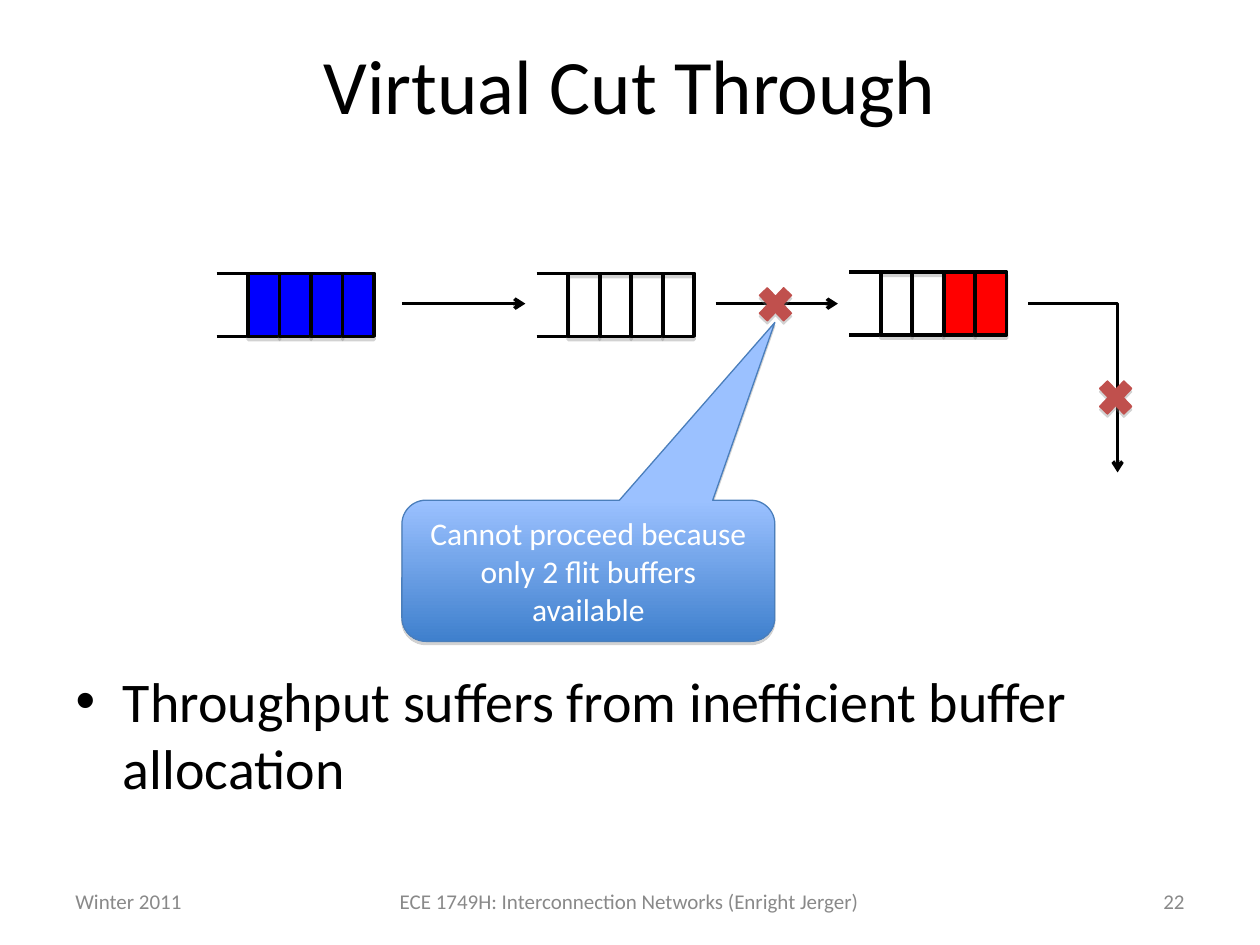
from dataclasses import dataclass
from typing import Optional

from lxml.etree import SubElement
from pptx import Presentation
from pptx.dml.color import RGBColor
from pptx.enum.shapes import MSO_CONNECTOR, MSO_SHAPE
from pptx.enum.text import MSO_ANCHOR, MSO_AUTO_SIZE, PP_ALIGN
from pptx.oxml.ns import qn
from pptx.util import Inches, Pt

COLORS = {
    "black": "000000", "white": "FFFFFF", "gray": "898989", "shadow": "808080",
    "blue": "0000FF", "red": "FF0000", "cross": "C0504D",
    "callout_top": "9BC1FF", "callout_bottom": "3F80CD", "callout_line": "4A7EBB",
}
FONT = "Calibri"
CELL_WIDTH, CELL_HEIGHT = 0.25, 0.5
ARROW_Y = 2.41


@dataclass
class Queue:
    left: float
    top: float
    cells: list[Optional[str]]


@dataclass
class Footer:
    text: str
    left: float
    width: float
    align: PP_ALIGN


QUEUES = [
    Queue(1.72, 2.17, ["blue"] * 4),
    Queue(4.26, 2.17, [None] * 4),
    Queue(6.74, 2.16, [None, None, "red", "red"]),
]
ARROWS = [(3.19, 4.17), (5.68, 6.65)]
CROSSES = [(8.67, 2.96), (5.97, 2.22)]
FOOTERS = [
    Footer("Winter 2011", 0.5, 2.33, PP_ALIGN.LEFT),
    Footer("22", 7.17, 2.33, PP_ALIGN.RIGHT),
    Footer("ECE 1749H: Interconnection Networks (Enright Jerger)", 2.83, 4.33, PP_ALIGN.CENTER),
]


def color(name: str) -> RGBColor:
    return RGBColor.from_string(COLORS[name])


def place(shape, left: float, top: float, width: float, height: float) -> None:
    lengths = {"left": left, "top": top, "width": width, "height": height}
    for name, value in lengths.items():
        setattr(shape, name, Inches(value))


def write(shape, text: str, size: int, color_name: str, align: PP_ALIGN, anchor) -> None:
    frame = shape.text_frame
    frame_format = {"word_wrap": True, "auto_size": MSO_AUTO_SIZE.NONE,
                    "vertical_anchor": anchor}
    for name, value in frame_format.items():
        setattr(frame, name, value)
    para = frame.paragraphs[0]
    para.alignment = align
    para.space_before = Pt(0)
    span = para.add_run()
    span.text = text
    for name, value in {"size": Pt(size), "name": FONT}.items():
        setattr(span.font, name, value)
    span.font.color.rgb = color(color_name)


def set_line(shape, color_name: str, width: float) -> None:
    shape.line.color.rgb = color(color_name)
    shape.line.width = Pt(width)


def add_arrowhead(shape) -> None:
    SubElement(shape.line._get_or_add_ln(), qn("a:tailEnd"), type="arrow")


def add_shadow(shape) -> None:
    """Drop a short, sharp shadow straight down."""
    shape.shadow.inherit = False
    effects = shape._element.spPr.find(qn("a:effectLst"))
    outer = SubElement(effects, qn("a:outerShdw"), blurRad="0", dist=str(Pt(1.8)),
                       dir="5400000", algn="ctr", rotWithShape="0")
    shade = SubElement(outer, qn("a:srgbClr"), val=COLORS["shadow"])
    SubElement(shade, qn("a:alpha"), val="35000")


def add_line(page, start: tuple[float, float], end: tuple[float, float]):
    line = page.shapes.add_connector(
        MSO_CONNECTOR.STRAIGHT, *(Inches(value) for value in (*start, *end)))
    set_line(line, "black", 2)
    SubElement(line._element.spPr, qn("a:effectLst"))
    return line


def draw_queue(page, queue: Queue) -> None:
    """Draw a row of flit buffers with an open first slot."""
    first_cell = queue.left + CELL_WIDTH
    for y in (queue.top, queue.top + CELL_HEIGHT):
        add_line(page, (queue.left, y), (first_cell, y))
    for index, fill in enumerate(queue.cells):
        cell = page.shapes.add_shape(
            MSO_SHAPE.RECTANGLE, Inches(first_cell + index * CELL_WIDTH),
            Inches(queue.top), Inches(CELL_WIDTH), Inches(CELL_HEIGHT))
        if fill:
            cell.fill.solid()
            cell.fill.fore_color.rgb = color(fill)
        else:
            cell.fill.background()
        set_line(cell, "black", 2)
        add_shadow(cell)


def draw_exit_path(page) -> None:
    """Draw the arrow that leaves the last queue and turns down."""
    builder = page.shapes.build_freeform(Inches(8.16), Inches(ARROW_Y))
    corners = [(8.87, ARROW_Y), (8.87, 3.75)]
    builder.add_line_segments([(Inches(x), Inches(y)) for x, y in corners], close=False)
    route = builder.convert_to_shape()
    route.fill.background()
    route.shadow.inherit = False
    set_line(route, "black", 2)
    add_arrowhead(route)


def draw_cross(page, left: float, top: float) -> None:
    cross = page.shapes.add_shape(MSO_SHAPE.MATH_MULTIPLY, Inches(left), Inches(top),
                                  Inches(0.37), Inches(0.39))
    cross.fill.solid()
    cross.fill.fore_color.rgb = color("cross")
    set_line(cross, "cross", 0.75)
    add_shadow(cross)


def draw_callout(page) -> None:
    callout = page.shapes.add_shape(MSO_SHAPE.ROUNDED_RECTANGULAR_CALLOUT, Inches(3.19),
                                    Inches(3.97), Inches(2.96), Inches(1.12))
    for index, value in enumerate((0.5, -1.76, 0.17)):
        callout.adjustments[index] = value
    callout.fill.gradient()
    callout.fill.gradient_angle = 270
    for stop, name in zip(callout.fill.gradient_stops, ("callout_top", "callout_bottom")):
        stop.color.rgb = color(name)
    set_line(callout, "callout_line", 0.75)
    add_shadow(callout)
    write(callout, "Cannot proceed because only 2 flit buffers available", 18, "white",
          PP_ALIGN.CENTER, MSO_ANCHOR.MIDDLE)


def draw_footer(page, footer: Footer) -> None:
    box = page.shapes.add_textbox(Inches(footer.left), Inches(6.95),
                                  Inches(footer.width), Inches(0.4))
    write(box, footer.text, 12, "gray", footer.align, MSO_ANCHOR.MIDDLE)


def main() -> None:
    deck = Presentation()
    deck.slide_width, deck.slide_height = Inches(10), Inches(7.5)
    page = deck.slides.add_slide(deck.slide_layouts[1])

    title, body = page.shapes.title, page.placeholders[1]
    place(title, 0.5, 0.04, 9, 1.25)
    write(title, "Virtual Cut Through", 44, "black", PP_ALIGN.CENTER, MSO_ANCHOR.MIDDLE)
    place(body, 0.5, 5.24, 9, 1.45)
    write(body, "Throughput suffers from inefficient buffer allocation", 32, "black",
          PP_ALIGN.LEFT, MSO_ANCHOR.TOP)

    for queue in QUEUES:
        draw_queue(page, queue)
    for start, end in ARROWS:
        add_arrowhead(add_line(page, (start, ARROW_Y), (end, ARROW_Y)))
    draw_exit_path(page)
    draw_callout(page)
    for left, top in CROSSES:
        draw_cross(page, left, top)
    for footer in FOOTERS:
        draw_footer(page, footer)
    deck.save("out.pptx")


if __name__ == "__main__":
    main()
